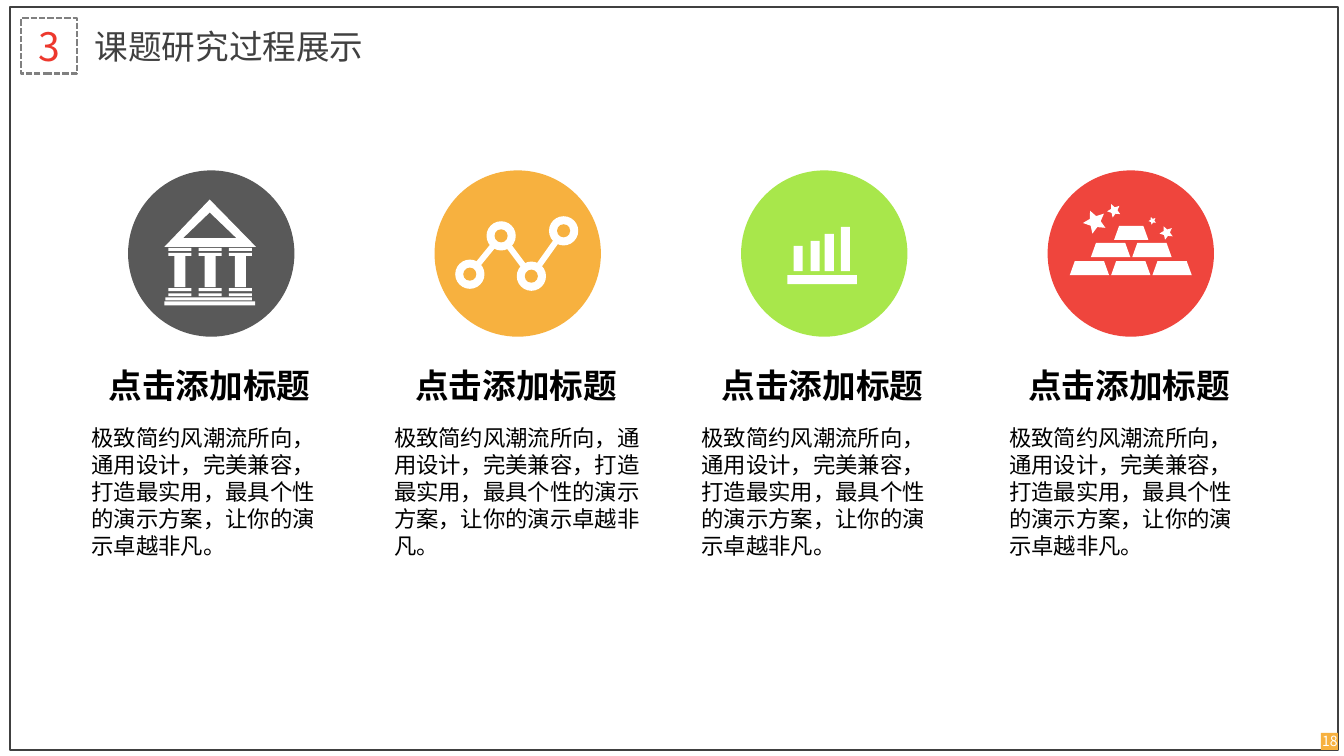
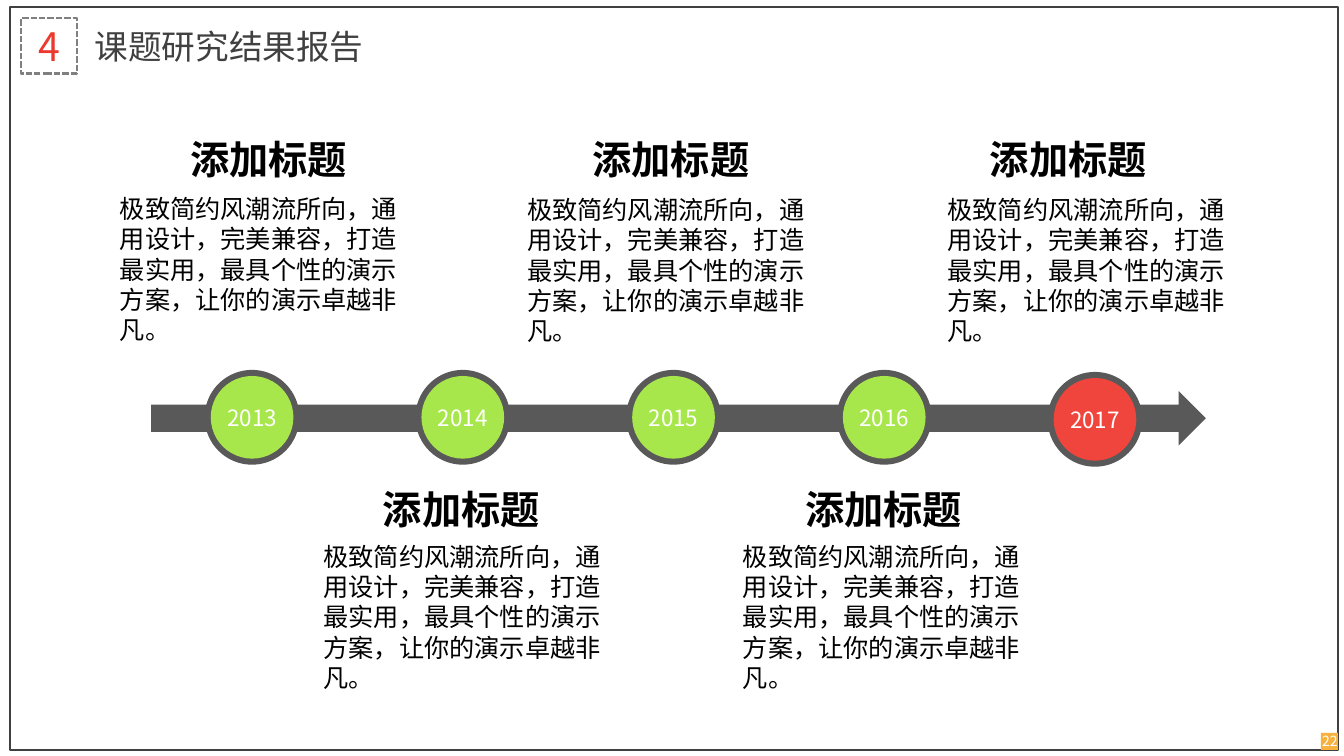
from math import cos, pi, sin

from lxml import etree
from pptx import Presentation
from pptx.dml.color import RGBColor
from pptx.enum.dml import MSO_LINE
from pptx.enum.shapes import MSO_CONNECTOR, MSO_SHAPE
from pptx.enum.text import MSO_ANCHOR, PP_ALIGN
from pptx.oxml.ns import qn
from pptx.util import Inches, Pt

RECTANGLE, OVAL, ARROW = MSO_SHAPE.RECTANGLE, MSO_SHAPE.OVAL, MSO_SHAPE.RIGHT_ARROW
STRAIGHT = MSO_CONNECTOR.STRAIGHT
DASH = MSO_LINE.SQUARE_DOT
CENTER, LEFT = PP_ALIGN.CENTER, PP_ALIGN.LEFT
MIDDLE, TOP = MSO_ANCHOR.MIDDLE, MSO_ANCHOR.TOP

WHITE = RGBColor(0xFF, 0xFF, 0xFF)
BLACK = RGBColor(0x00, 0x00, 0x00)
INK = RGBColor(0x40, 0x40, 0x40)
MID_GRAY = RGBColor(0x80, 0x80, 0x80)
GRAY = RGBColor(0x59, 0x59, 0x59)
ORANGE = RGBColor(0xF7, 0xB1, 0x3F)
GREEN = RGBColor(0xA8, 0xE7, 0x4B)
RED = RGBColor(0xEF, 0x45, 0x3D)
NUMBER_RED = RGBColor(0xED, 0x38, 0x2D)
FONT = "Noto Sans CJK SC"
LINE_HEIGHT = 1.2

BODY = "极致简约风潮流所向，通用设计，完美兼容，打造最实用，最具个性的演示方案，让你的演示卓越非凡。"

PROCESS = {"number": "3", "title": "课题研究过程展示", "page": "18"}
RESULT = {"number": "4", "title": "课题研究结果报告", "page": "22"}

STEP_HEADING = "点击添加标题"
STEPS = [
    ("bank", GRAY, 0.81, 2.56),
    ("network", ORANGE, 3.81, 2.66),
    ("bars", GREEN, 6.86, 2.6),
    ("gold", RED, 9.91, 2.6),
]
DISC_LEFT, DISC_TOP, DISC_SIZE, DISC_PITCH = 1.27, 1.69, 1.65, 3.04

YEARS = [
    ("2013", GREEN, 3.67),
    ("2014", GREEN, 3.67),
    ("2015", GREEN, 3.67),
    ("2016", GREEN, 3.67),
    ("2017", RED, 3.69),
]
RING_LEFT, RING_SIZE, RING_PITCH, RING_WIDTH = 2.03, 0.94, 2.09, 0.06

MILESTONE_HEADING = "添加标题"
MILESTONES = [
    (1.79, 1.29, 1.09, 1.87),
    (5.78, 1.29, 5.13, 1.88),
    (9.72, 1.29, 9.3, 1.88),
    (3.7, 4.77, 3.11, 5.32),
    (7.89, 4.77, 7.27, 5.32),
]

ROOF = [(0.36, 0.76), (0.81, 0.29), (1.27, 0.76)]
GABLE = [(0.55, 0.67), (0.81, 0.42), (1.07, 0.67)]
COLUMNS = [0.4, 0.7, 1.0]
SLABS = [0.77, 0.82, 1.17, 1.22]
NODES = [(0.35, 1.03), (0.66, 0.65), (0.96, 1.05), (1.28, 0.6)]
BARS = [(0.52, 0.25), (0.69, 0.3), (0.83, 0.37), (0.99, 0.44)]
STARS = [(0.47, 0.51, 0.12), (1.18, 0.62, 0.07), (1.04, 0.5, 0.04), (0.66, 0.4, 0.07)]
INGOTS = [(0.66, 0.55, 0.34)] + [(0.43 + 0.41 * i, 0.72, 0.39) for i in range(2)]
INGOTS += [(0.22 + 0.41 * i, 0.9, 0.39) for i in range(3)]


def paint(shape, fill=None, line=None):
    shape.shadow.inherit = False
    if fill is None:
        shape.fill.background()
    else:
        shape.fill.solid()
        shape.fill.fore_color.rgb = fill
    if line is None:
        shape.line.fill.background()
    else:
        shape.line.color.rgb = line
    return shape


def add_preset(shapes, kind, left, top, width, height, fill=None, line=None):
    shape = shapes.add_shape(kind, Inches(left), Inches(top), Inches(width), Inches(height))
    return paint(shape, fill, line)


def write(shape, text, size, color, bold=False, align=LEFT, anchor=TOP, tight=False, wrap=True, fixed=False):
    frame = shape.text_frame
    frame.word_wrap = wrap
    frame.vertical_anchor = anchor
    if tight:
        frame.margin_left = frame.margin_right = frame.margin_top = frame.margin_bottom = 0
    paragraph = frame.paragraphs[0]
    paragraph.alignment = align
    if fixed:
        paragraph.line_spacing = Pt(size * LINE_HEIGHT)
    run = paragraph.add_run()
    run.text = text
    font = run.font
    font.size, font.bold, font.name = Pt(size), bold, FONT
    font.color.rgb = color
    east_asian = etree.SubElement(run._r.get_or_add_rPr(), qn("a:ea"))
    east_asian.set("typeface", FONT)


def add_text(slide, left, top, width, height, text, size, color=BLACK, **style):
    box = slide.shapes.add_textbox(Inches(left), Inches(top), Inches(width), Inches(height))
    write(box, text, size, color, **style)


class Icon:
    def __init__(self, slide, left, top, color):
        self.shapes = slide.shapes.add_group_shape().shapes
        self.left, self.top, self.color = left, top, color
        self.preset(OVAL, 0, 0, DISC_SIZE, DISC_SIZE, color)

    def preset(self, kind, x, y, width, height, fill=WHITE):
        add_preset(self.shapes, kind, self.left + x, self.top + y, width, height, fill)

    def dot(self, x, y, size, fill):
        self.preset(OVAL, x - size / 2, y - size / 2, size, size, fill)

    def point(self, x, y):
        return Inches(self.left + x), Inches(self.top + y)

    def polygon(self, corners, fill=WHITE):
        points = [self.point(x, y) for x, y in corners]
        builder = self.shapes.build_freeform(*points[0])
        builder.add_line_segments(points[1:], close=True)
        paint(builder.convert_to_shape(), fill)

    def link(self, start, end):
        connector = self.shapes.add_connector(STRAIGHT, *self.point(*start), *self.point(*end))
        connector.line.color.rgb = WHITE
        connector.line.width = Pt(4.25)
        etree.SubElement(connector._element.spPr, qn("a:effectLst"))


def draw_bank(icon):
    icon.polygon(ROOF)
    icon.polygon(GABLE, icon.color)
    for x in COLUMNS:
        for y in SLABS:
            icon.preset(RECTANGLE, x, y, 0.23, 0.03)
        icon.preset(RECTANGLE, x + 0.06, 0.85, 0.11, 0.31)
    icon.preset(RECTANGLE, 0.37, 1.26, 0.86, 0.03)
    icon.preset(RECTANGLE, 0.36, 1.3, 0.9, 0.04)


def draw_network(icon):
    for start, end in zip(NODES, NODES[1:]):
        icon.link(start, end)
    for x, y in NODES:
        icon.dot(x, y, 0.29, WHITE)
        icon.dot(x, y, 0.13, icon.color)


def draw_bars(icon):
    icon.preset(RECTANGLE, 0.46, 1.04, 0.69, 0.09)
    for x, height in BARS:
        icon.preset(RECTANGLE, x, 1 - height, 0.09, height)


def draw_gold(icon):
    for x, y, radius in STARS:
        corners = []
        for index in range(10):
            reach = radius if index % 2 == 0 else radius * 0.48
            angle = pi / 6 + index * pi / 5
            corners.append((x + reach * cos(angle), y + reach * sin(angle)))
        icon.polygon(corners)
    for x, y, width in INGOTS:
        right, bottom = x + width, y + 0.14
        icon.polygon([(x + 0.05, y), (right - 0.05, y), (right, bottom), (x, bottom)])


DRAWINGS = {"bank": draw_bank, "network": draw_network, "bars": draw_bars, "gold": draw_gold}


def add_base_slide(presentation, heading):
    slide = presentation.slides.add_slide(presentation.slide_layouts[6])
    border = add_preset(slide.shapes, RECTANGLE, 0.1, 0.07, 13.17, 7.37, line=INK)
    border.line.width = Pt(1)
    badge = add_preset(slide.shapes, RECTANGLE, 0.21, 0.18, 0.55, 0.55, line=MID_GRAY)
    badge.line.width = Pt(1.5)
    badge.line.dash_style = DASH
    write(badge, heading["number"], 28, NUMBER_RED, align=CENTER, anchor=MIDDLE, tight=True)
    add_text(slide, 0.84, 0.18, 3.59, 0.55, heading["title"], 24, INK, anchor=MIDDLE)
    add_preset(slide.shapes, RECTANGLE, 13.1, 7.27, 0.17, 0.17, ORANGE)
    add_text(slide, 12.97, 7.27, 0.44, 0.17, heading["page"], 10, WHITE, align=CENTER, anchor=MIDDLE)
    return slide


def add_heading(slide, left, top, width, height, text, size):
    add_text(slide, left, top, width, height, text, size, bold=True, wrap=False, fixed=True)


def build_process(presentation):
    slide = add_base_slide(presentation, PROCESS)
    for index, (drawing, color, body_left, body_width) in enumerate(STEPS):
        left = DISC_LEFT + index * DISC_PITCH
        DRAWINGS[drawing](Icon(slide, left, DISC_TOP, color))
        add_heading(slide, left - 0.29, 3.57, 2.22, 0.51, STEP_HEADING, 24)
        add_text(slide, body_left, 4.16, body_width, 1.45, BODY, 16, fixed=True)


def build_result(presentation):
    slide = add_base_slide(presentation, RESULT)
    add_preset(slide.shapes, ARROW, 1.5, 3.88, 10.46, 0.54, GRAY)
    inner = RING_SIZE - 2 * RING_WIDTH
    for index, (year, color, top) in enumerate(YEARS):
        left = RING_LEFT + index * RING_PITCH
        add_preset(slide.shapes, OVAL, left, top, RING_SIZE, RING_SIZE, GRAY)
        disc = add_preset(slide.shapes, OVAL, left + RING_WIDTH, top + RING_WIDTH, inner, inner, color)
        write(disc, year, 16, WHITE, align=CENTER, anchor=MIDDLE, tight=True)
    for heading_left, heading_top, body_left, body_top in MILESTONES:
        add_heading(slide, heading_left, heading_top, 1.77, 0.57, MILESTONE_HEADING, 28)
        add_text(slide, body_left, body_top, 3, 1.61, BODY, 18, fixed=True)


def main():
    presentation = Presentation()
    presentation.slide_width = Inches(13.33)
    presentation.slide_height = Inches(7.5)
    build_process(presentation)
    build_result(presentation)
    presentation.save("out.pptx")


if __name__ == "__main__":
    main()
